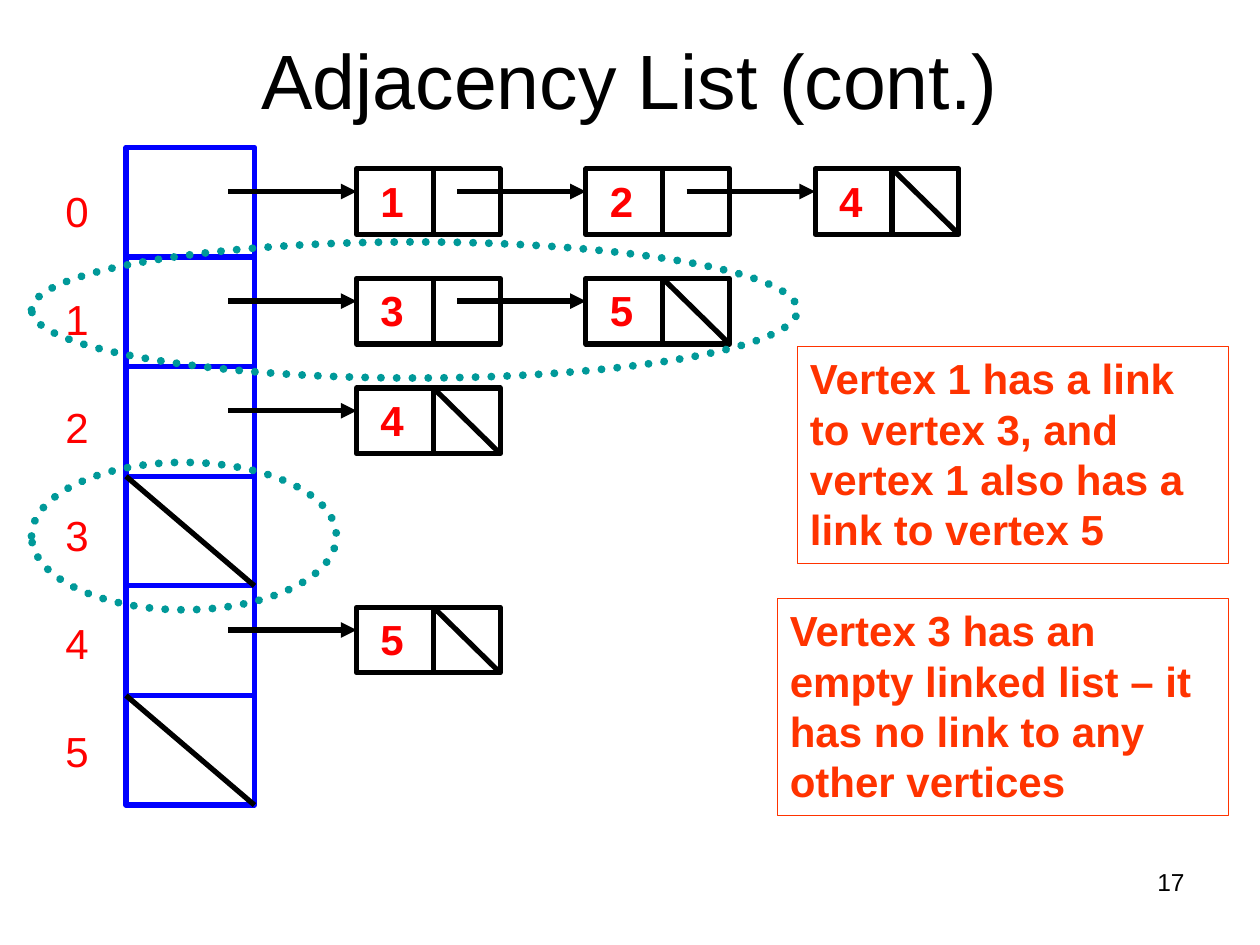
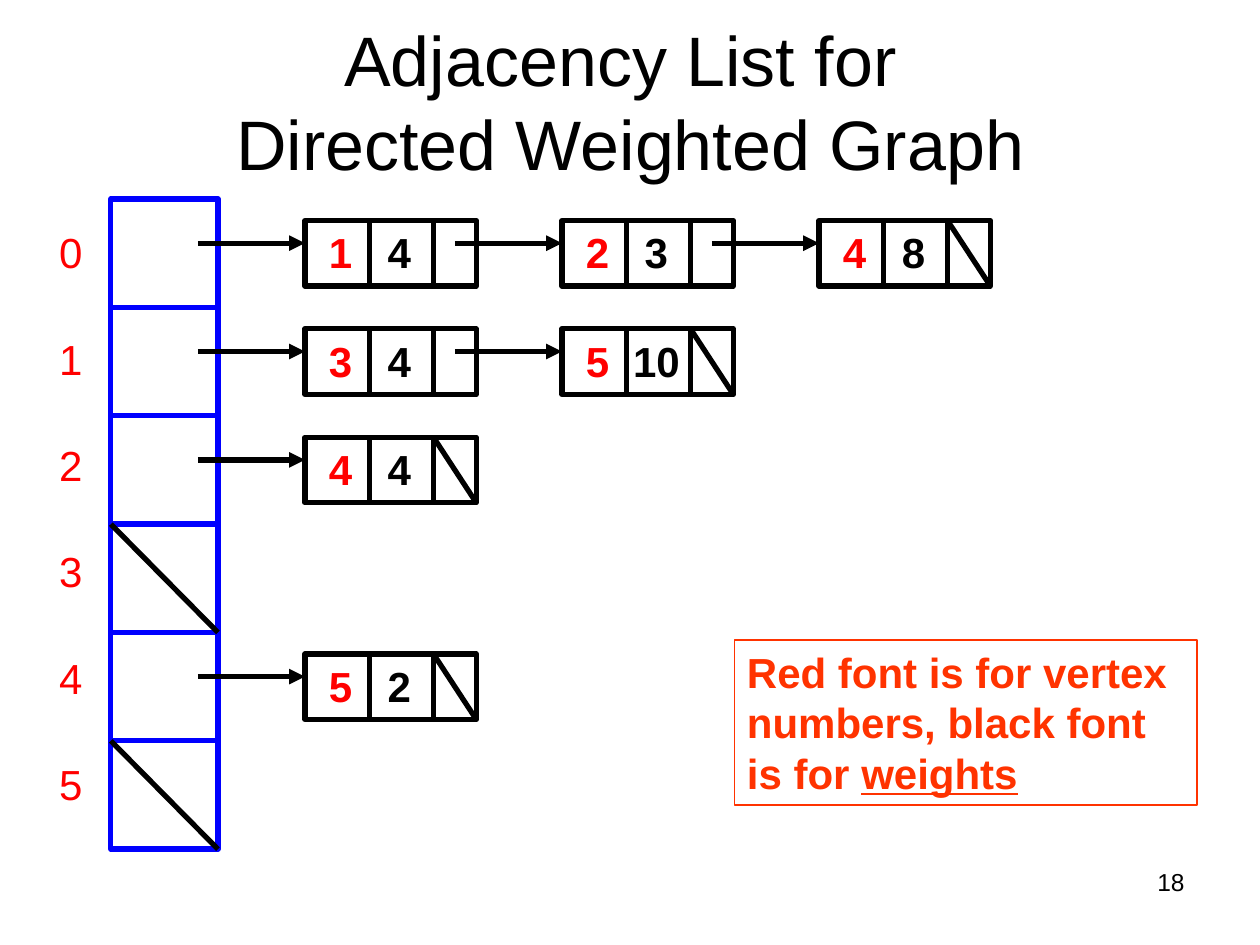
import pptx
import pptx.util
import pptx.dml.color
import pptx.enum.dml
import pptx.enum.shapes
import pptx.enum.text
import pptx.oxml.ns
import lxml.etree

Inches = pptx.util.Inches
Pt = pptx.util.Pt
RGB = pptx.dml.color.RGBColor.from_string
ALIGN = pptx.enum.text.PP_ALIGN
ANCHOR = pptx.enum.text.MSO_ANCHOR
SHAPE = pptx.enum.shapes.MSO_SHAPE
qn = pptx.oxml.ns.qn


class Theme:
    font = "Arial"
    black = "000000"
    white = "FFFFFF"
    vertex = "FF0000"
    array = "0000FF"
    note = "FF3300"
    highlight = "009999"
    body_size = 24
    number_size = 14
    stroke = 3
    note_stroke = 0.75
    highlight_stroke = 4.5


def add_box(slide, area, paragraphs=(), kind=None, fill=None, line=None, weight=Theme.stroke,
            size=Theme.body_size, bold=False, align=ALIGN.LEFT, anchor=ANCHOR.TOP,
            inset=0.1, space_after=0, tab=None):
    bounds = [Inches(length) for length in area]
    if kind is None:
        box = slide.shapes.add_textbox(*bounds)
    else:
        box = slide.shapes.add_shape(kind, *bounds)
        box.shadow.inherit = False
        if fill:
            box.fill.solid()
            box.fill.fore_color.rgb = RGB(fill)
        else:
            box.fill.background()
        box.line.color.rgb = RGB(line)
        box.line.width = Pt(weight)
    frame = box.text_frame
    frame.word_wrap = True
    frame.vertical_anchor = anchor
    frame.margin_left = Inches(inset)
    for index, runs in enumerate(paragraphs):
        paragraph = frame.add_paragraph() if index else frame.paragraphs[0]
        paragraph.alignment = align
        paragraph.space_after = Pt(space_after)
        if tab:
            stops = lxml.etree.SubElement(paragraph._p.get_or_add_pPr(), qn("a:tabLst"))
            lxml.etree.SubElement(stops, qn("a:tab"), pos=str(Inches(tab)), algn="ctr")
        for text, color, underline in runs:
            if text == "\n":
                paragraph.add_line_break()
                continue
            run = paragraph.add_run()
            run.text = text
            run.font.name = Theme.font
            run.font.size = Pt(size)
            run.font.bold = bold
            run.font.underline = underline
            run.font.color.rgb = RGB(color)
    return box


def add_line(slide, x1, y1, x2, y2, arrow=False):
    line = slide.shapes.add_connector(
        pptx.enum.shapes.MSO_CONNECTOR.STRAIGHT, Inches(x1), Inches(y1), Inches(x2), Inches(y2))
    line.line.color.rgb = RGB(Theme.black)
    line.line.width = Pt(Theme.stroke)
    properties = line._element.spPr
    if arrow:
        lxml.etree.SubElement(properties.find(qn("a:ln")), qn("a:tailEnd"), type="triangle")
    lxml.etree.SubElement(properties, qn("a:effectLst"))


node_height = 0.52
node_drop = 0.17
arrow_drop = 0.18

graphs = [
    dict(
        title=["Adjacency List (cont.)"], title_top=0, title_size=44, number="17",
        array_left=1, array_top=1.17, cell_width=1.02, cell_height=0.87,
        labels=(0.42, 1.42, 0.61, 5.58), label_gap=33,
        first_node=2.83, node_step=1.82, node_width=1.14, dividers=[0.61], arrow_length=1.02,
        lists=[["1", "2", "4"], ["3", "5"], ["4"], [], ["5"], []],
        highlights=[(0.25, 1.92, 6.08, 1.08), (0.25, 3.67, 2.42, 1.17)],
        notes=[
            ((6.33, 2.75, 3.42, 1.72),
             [("Vertex 1 has a link to vertex 3, and vertex 1 also has a link to vertex 5", False)]),
            ((6.17, 4.75, 3.58, 1.72),
             [("Vertex 3 has an empty linked list – it has no link to any other vertices", False)]),
        ],
    ),
    dict(
        title=["Adjacency List for ", "\n", "Directed Weighted Graph"],
        title_top=0.17, title_size=40, number="18",
        array_left=0.88, array_top=1.58, cell_width=0.85, cell_height=0.86,
        labels=(0.37, 1.75, 0.51, 5.25), label_gap=32,
        first_node=2.42, node_step=2.04, node_width=1.36, dividers=[0.51, 1.02], arrow_length=0.85,
        lists=[["1\t4", "2\t3", "4\t8"], ["3\t4", "5\t10"], ["4\t4"], [], ["5\t2"], []],
        highlights=[],
        notes=[
            ((5.83, 5.08, 3.67, 1.31),
             [("Red font is for vertex numbers, black font is for ", False), ("weights", True)]),
        ],
    ),
]

deck = pptx.Presentation()
deck.slide_width = Inches(10)
deck.slide_height = Inches(7.5)

for graph in graphs:
    slide = deck.slides.add_slide(deck.slide_layouts[6])
    add_box(slide, (0.5, graph["title_top"], 9, 1.25),
            [[(part, Theme.black, False) for part in graph["title"]]],
            size=graph["title_size"], align=ALIGN.CENTER, anchor=ANCHOR.MIDDLE)
    add_box(slide, (7.17, 6.83, 2.33, 0.52), [[(graph["number"], Theme.black, False)]],
            size=Theme.number_size, align=ALIGN.RIGHT)

    array_left = graph["array_left"]
    array_right = array_left + graph["cell_width"]
    cell_height = graph["cell_height"]
    cell_tops = [graph["array_top"] + row * cell_height for row in range(len(graph["lists"]))]
    for cell_top in cell_tops:
        add_box(slide, (array_left, cell_top, graph["cell_width"], cell_height),
                kind=SHAPE.RECTANGLE, fill=Theme.white, line=Theme.array)
    add_box(slide, graph["labels"],
            [[(str(vertex), Theme.vertex, False)] for vertex in range(len(cell_tops))],
            space_after=graph["label_gap"])

    for cell_top, neighbours in zip(cell_tops, graph["lists"]):
        if not neighbours:
            add_line(slide, array_left, cell_top, array_right, cell_top + cell_height)
            continue
        node_top = cell_top + node_drop
        node_bottom = node_top + node_height
        for position, neighbour in enumerate(neighbours):
            node_left = graph["first_node"] + position * graph["node_step"]
            vertex, tab, weight = neighbour.partition("\t")
            entry = [(vertex, Theme.vertex, False)]
            if weight:
                entry.append((tab + weight, Theme.black, False))
            add_box(slide, (node_left, node_top, graph["node_width"], node_height), [entry],
                    kind=SHAPE.RECTANGLE, fill=Theme.white, line=Theme.black,
                    bold=True, inset=0.19, tab=0.56 if weight else None)
            arrow_y = node_top + arrow_drop
            add_line(slide, node_left - graph["arrow_length"], arrow_y, node_left, arrow_y, arrow=True)
            for divider in graph["dividers"]:
                add_line(slide, node_left + divider, node_top, node_left + divider, node_bottom)
        add_line(slide, node_left + graph["dividers"][-1], node_top,
                 node_left + graph["node_width"], node_bottom)

    for area in graph["highlights"]:
        highlight = add_box(slide, area, kind=SHAPE.OVAL, line=Theme.highlight,
                            weight=Theme.highlight_stroke)
        highlight.line.dash_style = pptx.enum.dml.MSO_LINE.ROUND_DOT
        highlight._element.spPr.find(qn("a:ln")).set("cap", "rnd")
    for area, runs in graph["notes"]:
        note = add_box(slide, area, [[(text, Theme.note, underline) for text, underline in runs]],
                       kind=SHAPE.RECTANGLE, line=Theme.note, weight=Theme.note_stroke, bold=True)
        note.text_frame.auto_size = pptx.enum.text.MSO_AUTO_SIZE.SHAPE_TO_FIT_TEXT

deck.save("out.pptx")
